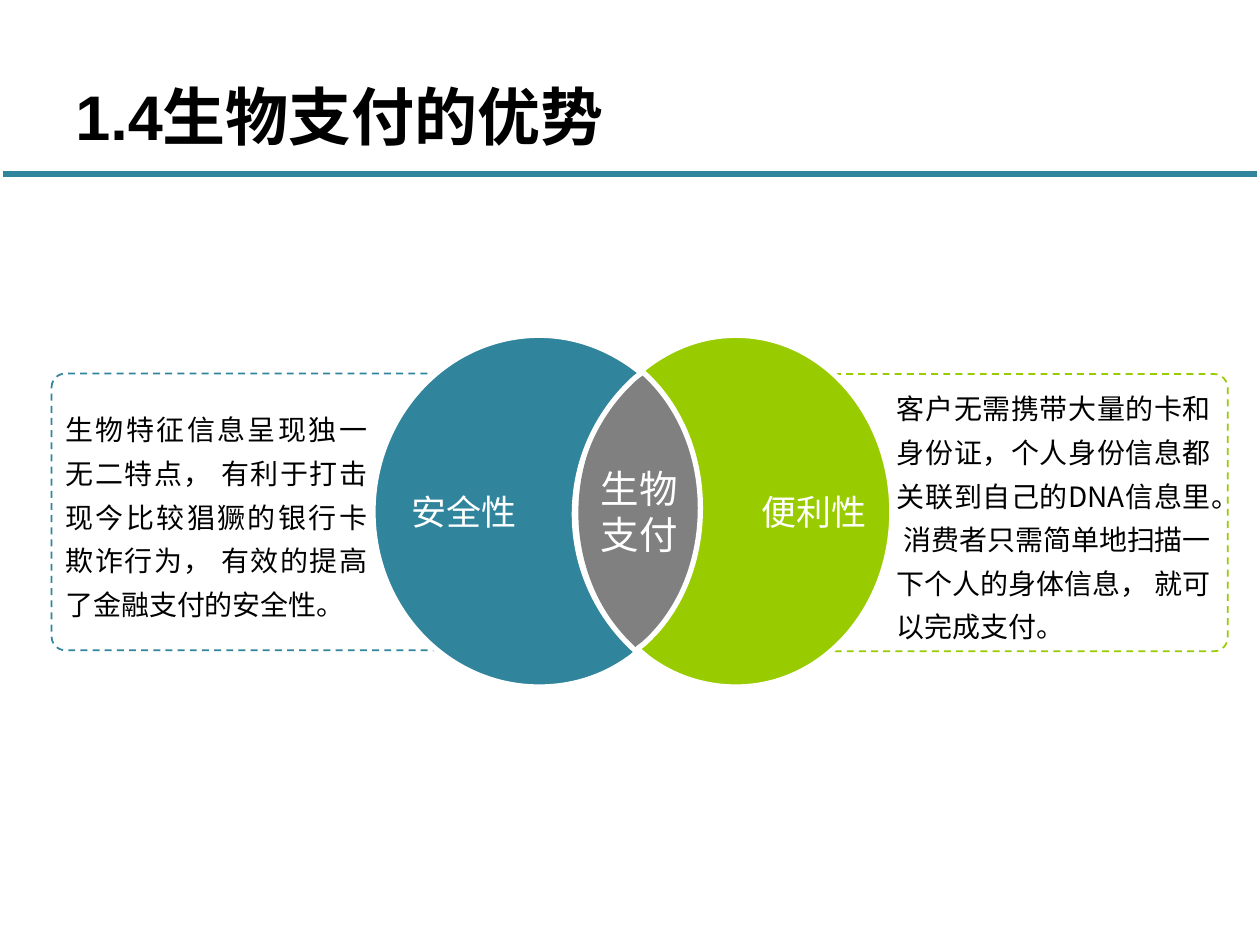
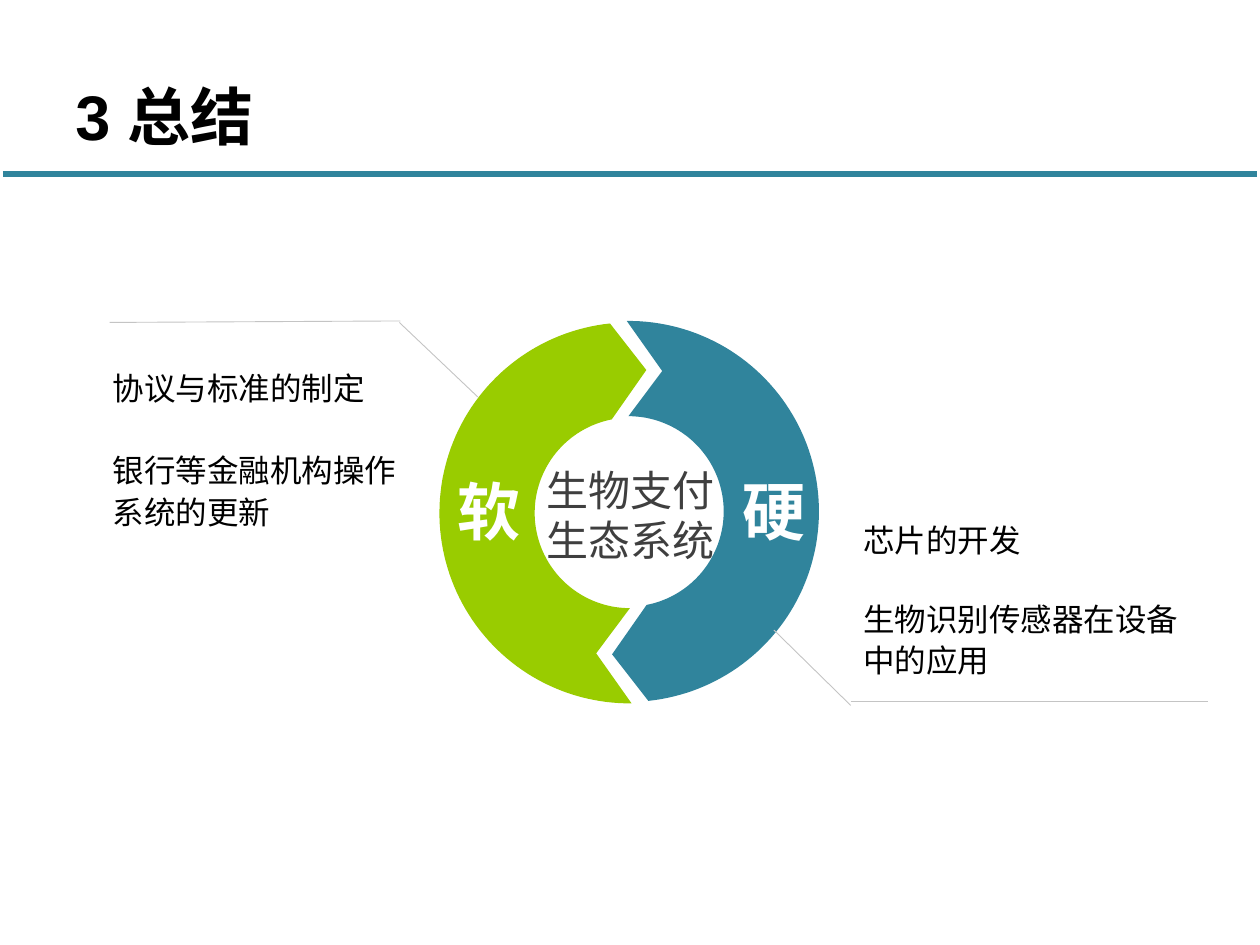
import math

import pptx
import pptx.dml.color
import pptx.enum.dml
import pptx.enum.shapes
import pptx.enum.text
import pptx.oxml
import pptx.oxml.ns
import pptx.util

Cm = pptx.util.Cm
Pt = pptx.util.Pt
RGBColor = pptx.dml.color.RGBColor
Align = pptx.enum.text.PP_ALIGN
Anchor = pptx.enum.text.MSO_ANCHOR
qn = pptx.oxml.ns.qn

TEAL = RGBColor(0x30, 0x84, 0x9C)
GREEN = RGBColor(0x99, 0xCC, 0x00)
GREY = RGBColor(0x80, 0x80, 0x80)
PALE_GREY = RGBColor(0xC4, 0xC4, 0xC4)
DARK_GREY = RGBColor(0x3F, 0x3F, 0x3F)
BLACK = RGBColor(0, 0, 0)
WHITE = RGBColor(0xFF, 0xFF, 0xFF)
LATIN_FONT = "Arial"
CHINESE_FONT = "Noto Sans CJK SC"

LENS = [
    (5.41, 0.74), (5.46, 0.79),
    (6.15, 1.42, 6.6, 2.41, 6.6, 3.51), (6.6, 4.62, 6.15, 5.61, 5.46, 6.25),
    (5.33, 6.35), (5.28, 6.3),
    (4.6, 5.66, 4.14, 4.67, 4.14, 3.58), (4.14, 2.46, 4.6, 1.5, 5.28, 0.84),
    (5.41, 0.74)]
SAFETY_CRESCENT = [
    (3.35, 0), (4.04, 0, 4.67, 0.23, 5.21, 0.61), (5.41, 0.76), (5.28, 0.86),
    (4.55, 1.52, 4.06, 2.49, 4.06, 3.61), (4.06, 4.7, 4.55, 5.69, 5.28, 6.35),
    (5.33, 6.38), (5.21, 6.48), (4.67, 6.88, 4.04, 7.09, 3.35, 7.09),
    (1.5, 7.09, 0, 5.51, 0, 3.56), (0, 1.6, 1.5, 0, 3.35, 0)]
EASE_CRESCENT = [
    (7.32, 0), (9.07, 0, 10.46, 1.6, 10.46, 3.56), (10.46, 5.51, 9.07, 7.09, 7.32, 7.09),
    (6.65, 7.09, 6.05, 6.88, 5.54, 6.5), (5.33, 6.32), (5.46, 6.22),
    (6.17, 5.59, 6.6, 4.6, 6.6, 3.48), (6.6, 2.39, 6.17, 1.4, 5.46, 0.76),
    (5.41, 0.71), (5.54, 0.61), (6.05, 0.23, 6.65, 0, 7.32, 0)]


def write(shape, paragraphs, size, color, font=CHINESE_FONT, bold=False,
          align=Align.LEFT, anchor=Anchor.MIDDLE, insets=(0.25, 0.13, 0.25, 0.13),
          line_spacing=None, gap=0):
    """Fill a shape with evenly styled paragraphs."""
    frame = shape.text_frame
    frame.word_wrap = True
    frame.vertical_anchor = anchor
    frame.margin_left, frame.margin_top, frame.margin_right, frame.margin_bottom = map(Cm, insets)
    frame.text = "\n".join(paragraphs)
    for index, paragraph in enumerate(frame.paragraphs):
        paragraph.alignment = align
        if line_spacing:
            paragraph.line_spacing = line_spacing
        if index and gap:
            paragraph.space_before = Pt(gap)
        for run in paragraph.runs:
            run.font.name = font
            run.font.size = Pt(size)
            run.font.bold = bold
            run.font.color.rgb = color
            east_asian = pptx.oxml.parse_xml(
                f'<a:ea {pptx.oxml.ns.nsdecls("a")} typeface="{CHINESE_FONT}"/>')
            run.font._element.find(qn("a:latin")).addnext(east_asian)


def add_text(slide, box, paragraphs, size, color, **style):
    """Add a text box at the given box in centimetres."""
    write(slide.shapes.add_textbox(*map(Cm, box)), paragraphs, size, color, **style)


def add_rule(slide, start, end, color, width):
    """Draw a straight line without shadow."""
    rule = slide.shapes.add_connector(
        pptx.enum.shapes.MSO_CONNECTOR.STRAIGHT, *map(Cm, start + end))
    rule.line.color.rgb = color
    rule.line.width = Pt(width)
    rule._element.spPr.append(
        pptx.oxml.parse_xml(f'<a:effectLst {pptx.oxml.ns.nsdecls("a")}/>'))


def arc(radius, first, last, steps=90):
    """Return points along a circle around the origin between two angles in degrees."""
    angles = [math.radians(first + (last - first) * step / steps) for step in range(steps + 1)]
    return [(radius * math.cos(angle), radius * math.sin(angle)) for angle in angles]


def add_outline(slide, origin, segments, fill, border=None):
    """Draw a closed outline of line ends (2 numbers) and cubic curves (6 numbers)."""
    start, *points = [(Cm(origin[0] + x), Cm(origin[1] + y))
                      for segment in segments for x, y in zip(segment[::2], segment[1::2])]
    builder = slide.shapes.build_freeform(*start)
    builder.add_line_segments(points, close=True)
    outline = builder.convert_to_shape()
    lines = iter(list(outline._element.iter(qn("a:lnTo"))))
    for segment in segments[1:]:
        curve = next(lines)
        if len(segment) == 6:
            curve.tag = qn("a:cubicBezTo")
            for extra in (next(lines), next(lines)):
                curve.append(extra[0])
                extra.getparent().remove(extra)
    outline.shadow.inherit = False
    outline.fill.solid()
    outline.fill.fore_color.rgb = fill
    if border:
        outline.line.color.rgb = border
        outline.line.width = Pt(3)
    else:
        outline.line.fill.background()
    return outline


def add_header(slide, title):
    """Add the title and the rule below it."""
    add_rule(slide, (0.06, 3.51), (25.34, 3.51), TEAL, 3)
    add_text(slide, (1.27, 1.19, 22.86, 2.26), [title], 36, BLACK, font=LATIN_FONT, bold=True)


def add_benefit_card(slide, box, text, color, insets):
    """Add a dashed rounded card with an explanation."""
    card = slide.shapes.add_shape(
        pptx.enum.shapes.MSO_SHAPE.ROUNDED_RECTANGLE, *map(Cm, box))
    card.adjustments[0] = 0.05
    card.shadow.inherit = False
    card.fill.background()
    card.line.color.rgb = color
    card.line.width = Pt(1)
    card.line.dash_style = pptx.enum.dml.MSO_LINE.DASH
    write(card, [text], 16, BLACK, align=Align.JUSTIFY, insets=insets, line_spacing=1.3)


def add_venn(slide, origin):
    """Draw the shared lens and the two crescents from a top left corner."""
    lens = add_outline(slide, origin, LENS, GREY)
    write(lens, ["生物支付"], 22, WHITE, align=Align.CENTER)
    safety = add_outline(slide, origin, SAFETY_CRESCENT, TEAL, WHITE)
    write(safety, ["安全性"], 20, WHITE, insets=(0.77, 0.13, 0.6, 0.13))
    ease = add_outline(slide, origin, EASE_CRESCENT, GREEN, WHITE)
    write(ease, ["便利性"], 20, WHITE, align=Align.RIGHT, insets=(1.4, 0.13, 0.5, 0.13))


def add_cycle(slide, box):
    """Draw two interlocking half-ring arrows and their labels in the box."""
    left, top, size = box
    radius = size / 2
    hole = radius / 2
    center_x, center_y = left + radius, top + radius
    hardware = (arc(hole, -90, 79) + [(-0.33, 2.88)]
                + arc(radius, 84, -90.5) + [(0.68, -2.83)])
    software = [(0.03 - x, 0.03 - y) for x, y in hardware]
    for half, color in ((hardware, TEAL), (software, GREEN)):
        add_outline(slide, (center_x, center_y), half, color)
    add_text(slide, (center_x - 2.06, center_y - 1.05, 4.22, 2.24), ["生物支付生态系统"],
             24, DARK_GREY, align=Align.CENTER, anchor=Anchor.TOP, insets=(0.2, 0.1, 0.2, 0.1))
    for offset, label in ((-3.7, "软"), (2.05, "硬")):
        add_text(slide, (center_x + offset, center_y - 0.92, 1.42, 1.78), [label], 36, WHITE,
                 font=LATIN_FONT, bold=True, anchor=Anchor.TOP)


def add_callout(slide, box, paragraphs, leader, font, gap):
    """Add a note and the bent leader that ties it to the ring."""
    add_text(slide, box, paragraphs, 18, BLACK, font=font, line_spacing=1.1, gap=gap,
             insets=(0.25,) * 4)
    for start, end in leader:
        add_rule(slide, start, end, PALE_GREY, 0.5)


def build_advantages(slide):
    """Build the slide on the advantages of biometric payment."""
    add_benefit_card(
        slide, (15.99, 7.54, 8.76, 5.59),
        "客户无需携带大量的卡和身份证，个人身份信息都关联到自己的DNA信息里。 "
        "消费者只需简单地扫描一下个人的身体信息， 就可以完成支付。",
        GREEN, (2.01, 0.13, 0.25, 0.13))
    add_benefit_card(
        slide, (1.04, 7.53, 8.76, 5.58),
        "生物特征信息呈现独一无二特点， 有利于打击现今比较猖獗的银行卡欺诈行为， "
        "有效的提高了金融支付的安全性。",
        TEAL, (0.2, 0.13, 2.31, 0.13))
    add_venn(slide, (7.52, 6.76))
    add_header(slide, "1.4生物支付的优势")


def build_summary(slide):
    """Build the summary slide with its hardware and software cycle."""
    add_cycle(slide, (8.83, 6.47, 7.68))
    add_callout(slide, (17.15, 10.38, 6.99, 3.35),
                ["芯片的开发", "生物识别传感器在设备中的应用"],
                [((17.15, 14.15), (24.36, 14.15)), ((15.6, 12.7), (17.15, 14.22))],
                LATIN_FONT, 21.5)
    add_callout(slide, (2.02, 6.86, 6.83, 4.34),
                ["协议与标准的制定", "银行等金融机构操作系统的更新"],
                [((2.21, 6.5), (8.07, 6.47)), ((8.05, 6.5), (9.63, 8))],
                CHINESE_FONT, 23.5)
    add_header(slide, "3 总结")


def main():
    """Build and save the presentation."""
    deck = pptx.Presentation()
    deck.slide_width, deck.slide_height = Cm(25.4), Cm(19.05)
    for build in (build_advantages, build_summary):
        build(deck.slides.add_slide(deck.slide_layouts[6]))
    deck.save("out.pptx")


if __name__ == "__main__":
    main()
